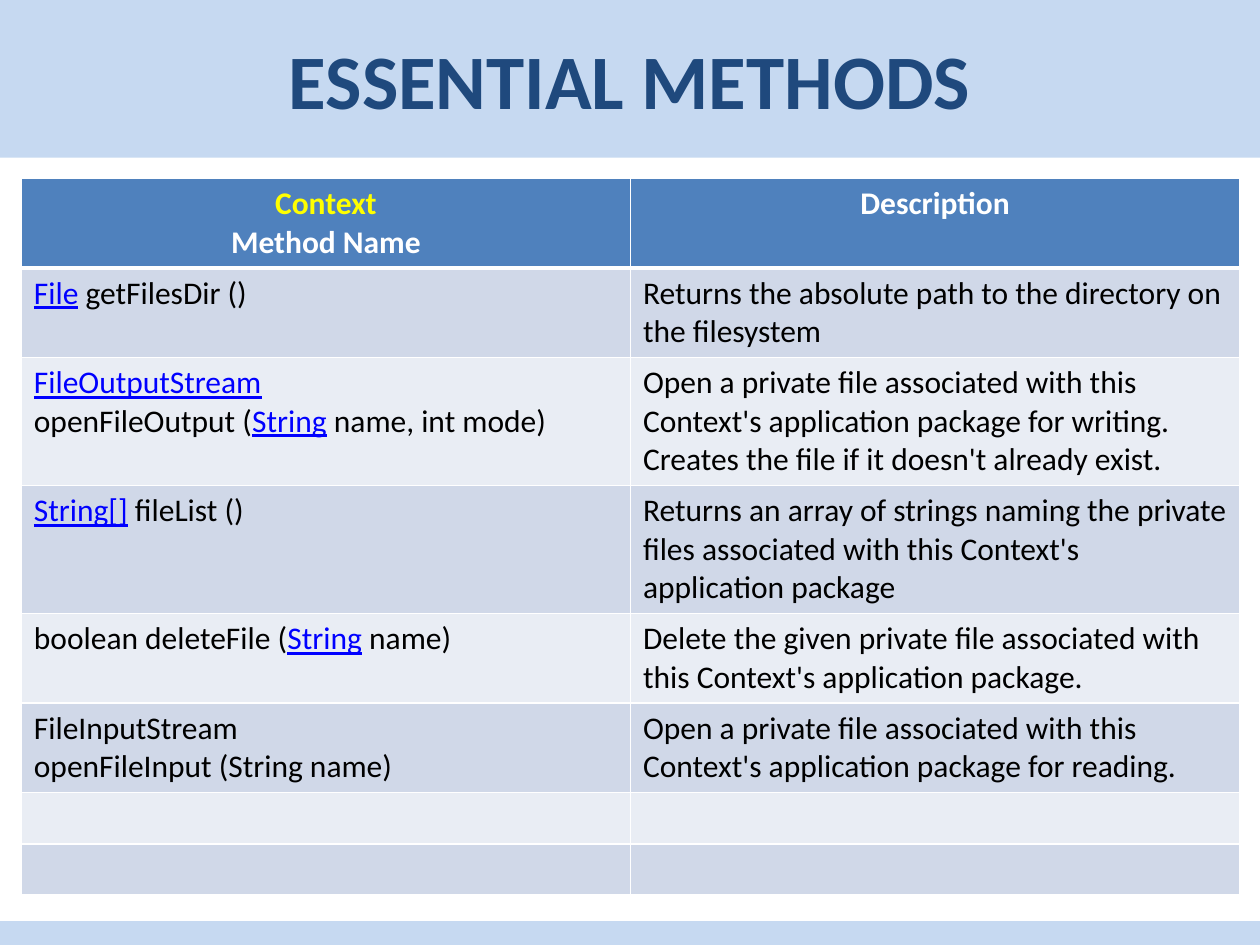
import pptx
import pptx.util
import pptx.dml.color
import pptx.enum.shapes
import pptx.enum.text
import pptx.oxml
import pptx.oxml.ns

Cm = pptx.util.Cm
Pt = pptx.util.Pt
CENTER = pptx.enum.text.PP_ALIGN.CENTER


def paint(form, tint):
    if hasattr(form, "solid"):
        form.solid()
        form = form.fore_color
    form.rgb = pptx.dml.color.RGBColor.from_string(tint)


def edge(cell, side, width):
    line = pptx.oxml.parse_xml(
        f'<a:ln{side} {pptx.oxml.ns.nsdecls("a")} w="{Pt(width)}">'
        '<a:solidFill><a:srgbClr val="FFFFFF"/></a:solidFill>'
        f'</a:ln{side}>')
    cell._tc.get_or_add_tcPr().append(line)


deck = pptx.Presentation()
deck.slide_width = Cm(25.4)
deck.slide_height = Cm(19.05)
slide = deck.slides.add_slide(deck.slide_layouts[5])

title = slide.shapes.title
title.left, title.top, title.width, title.height = Cm(0), Cm(0), Cm(25.4), Cm(3.18)
paint(title.fill, "C6D9F1")
title.text_frame.text = "ESSENTIAL METHODS"
title.text_frame.vertical_anchor = pptx.enum.text.MSO_ANCHOR.MIDDLE
head = title.text_frame.paragraphs[0]
head.alignment = CENTER
font = head.runs[0].font
font.name, font.size, font.bold = "Calibri", Pt(44), True
paint(font.color, "1F497D")

bar = slide.shapes.add_shape(
    pptx.enum.shapes.MSO_SHAPE.RECTANGLE, Cm(0.02), Cm(18.6), Cm(25.38), Cm(0.43))
bar.shadow.inherit = False
paint(bar.fill, "C6D9F1")
paint(bar.line.fill, "C6D9F1")
bar.line.width = Pt(2)

# Underscores enclose the underlined type names.
rows = [
    ("Context\nMethod Name", "Description", 2),
    ("_File_ getFilesDir ()",
     "Returns the absolute path to the directory on the filesystem", 2),
    ("_FileOutputStream_ \nopenFileOutput (_String_ name, int mode)",
     "Open a private file associated with this Context's application package "
     "for writing. Creates the file if it doesn't already exist.", 3),
    ("_String[]_ fileList ()",
     "Returns an array of strings naming the private files associated with "
     "this Context's application package", 3),
    ("boolean deleteFile (_String_ name)",
     "Delete the given private file associated with this Context's "
     "application package.", 2),
    ("FileInputStream\nopenFileInput (String name)",
     "Open a private file associated with this Context's application package "
     "for reading.", 2),
    ("", "", 1),
    ("", "", 1),
]
frame = slide.shapes.add_table(len(rows), 2, Cm(0.43), Cm(3.6), Cm(24.56), Cm(14.25))
table = frame.table
for col in table.columns:
    col.width = Cm(12.28)

for r, (name, about, lines) in enumerate(rows):
    table.rows[r].height = Cm(0.25 + 0.77 * lines)
    for c, text in enumerate((name, about)):
        cell = table.cell(r, c)
        for side in "LRTB":
            thick = (r, side) in ((0, "B"), (1, "T"))
            edge(cell, side, 3 if thick else 1)
        paint(cell.fill, "4F81BD" if r == 0 else ("E9EDF4", "D0D8E8")[r % 2])
        cell.text_frame.text = text.replace("_", "")
        for para, line in zip(cell.text_frame.paragraphs, text.split("\n")):
            para.font.size = Pt(18)
            if r == 0:
                para.alignment = CENTER
            para.clear()
            for n, part in enumerate(line.split("_")):
                if not part:
                    continue
                run = para.add_run()
                run.text = part
                font = run.font
                font.name, font.size, font.bold = "Calibri", Pt(18), r == 0
                font.underline = n % 2 == 1
                if r == 0:
                    tint = "FFFF00" if part == "Context" else "FFFFFF"
                else:
                    tint = "0000FF" if n % 2 else "000000"
                paint(font.color, tint)

deck.save("out.pptx")
